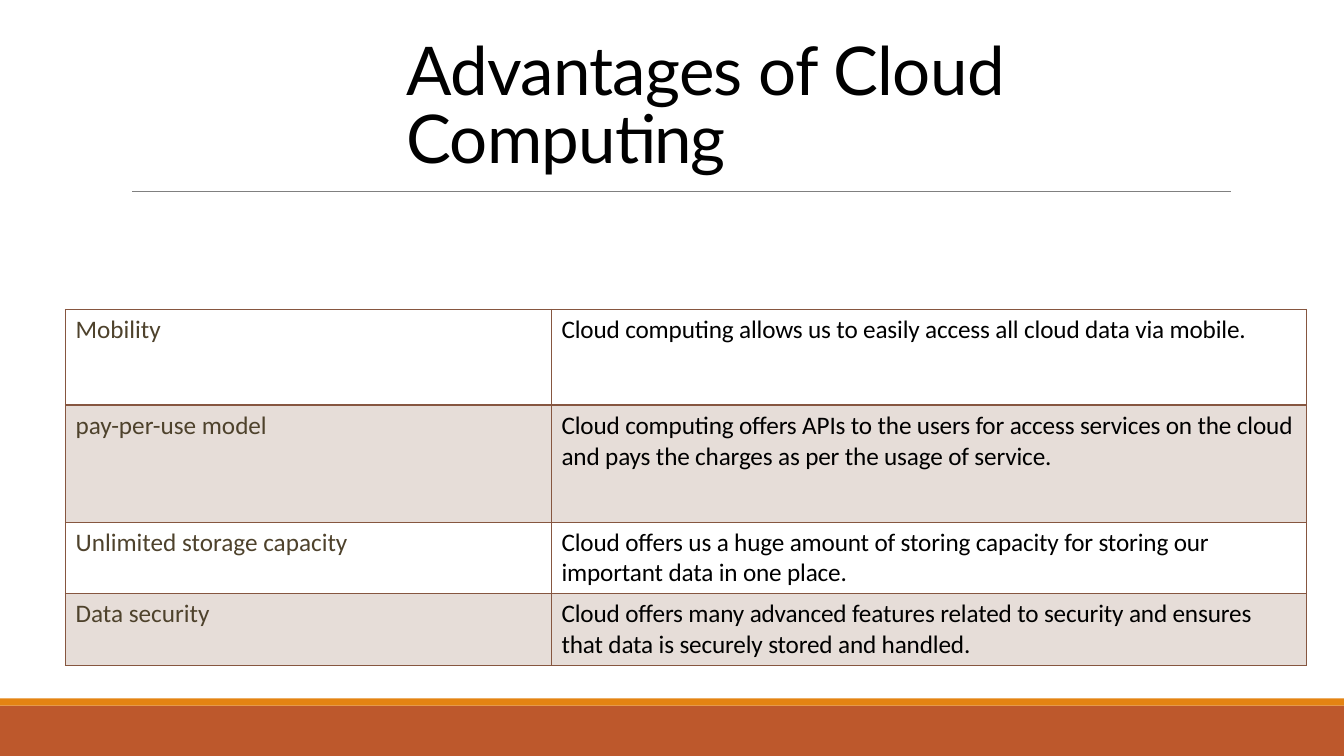
from lxml import etree
from pptx import Presentation
from pptx.dml.color import RGBColor
from pptx.enum.shapes import MSO_CONNECTOR, MSO_SHAPE
from pptx.enum.text import MSO_ANCHOR, MSO_AUTO_SIZE, PP_ALIGN
from pptx.oxml.ns import qn
from pptx.util import Inches, Pt

RECTANGLE = MSO_SHAPE.RECTANGLE
STRAIGHT = MSO_CONNECTOR.STRAIGHT
BOTTOM = MSO_ANCHOR.BOTTOM
NO_AUTOFIT = MSO_AUTO_SIZE.NONE
LEFT = PP_ALIGN.LEFT

COLORS = {
    "footer": "BD582C",
    "stripe": "E48312",
    "rule": "808080",
    "border": "865640",
    "label": "4E422C",
    "text": "000000",
}
ADVANTAGES = [
    ("Mobility", "Cloud computing allows us to easily access all cloud data via mobile."),
    ("pay-per-use model",
     "Cloud computing offers APIs to the users for access services on the cloud "
     "and pays the charges as per the usage of service."),
    ("Unlimited storage capacity",
     "Cloud offers us a huge amount of storing capacity for storing our "
     "important data in one place."),
    ("Data security",
     "Cloud offers many advanced features related to security and ensures "
     "that data is securely stored and handled."),
]
COLUMN_WIDTHS = [4.82, 7.49]
ROW_HEIGHTS = [0.95, 1.16, 0.71, 0.71]


class SlideBuilder:
    """Hold the colours and the current slide and draw its elements."""

    def __init__(self, slide, colors):
        self.slide = slide
        self.colors = colors

    def rgb(self, name):
        return RGBColor.from_string(self.colors[name])

    def band(self, top, height, color):
        band = self.slide.shapes.add_shape(
            RECTANGLE, 0, Inches(top), Inches(13.33), Inches(height))
        band.shadow.inherit = False
        band.fill.solid()
        band.fill.fore_color.rgb = self.rgb(color)
        band.line.fill.background()

    def rule(self, left, right, top):
        rule = self.slide.shapes.add_connector(
            STRAIGHT, Inches(left), Inches(top), Inches(right), Inches(top))
        rule.line.color.rgb = self.rgb("rule")
        rule.line.width = Pt(0.5)
        etree.SubElement(rule._element.spPr, qn("a:effectLst"))

    def style(self, paragraph, font_name, size, color, spacing):
        for run in paragraph.runs:
            run.font.name = font_name
            run.font.size = Pt(size)
            run.font.color.rgb = self.rgb(color)
            run._r.get_or_add_rPr().set("spc", str(spacing))

    def title(self, text, left, top, width, height):
        title = self.slide.shapes.title
        title.left, title.top = Inches(left), Inches(top)
        title.width, title.height = Inches(width), Inches(height)
        frame = title.text_frame
        frame.text = text
        frame.word_wrap = True
        frame.auto_size = NO_AUTOFIT
        frame.vertical_anchor = BOTTOM
        heading = frame.paragraphs[0]
        heading.alignment = LEFT
        heading.line_spacing = 0.85
        self.style(heading, "Lato", 48, "text", -50)

    def borders(self, cell, widths):
        properties = cell._tc.get_or_add_tcPr()
        for position, (side, width) in enumerate(widths.items()):
            line = etree.Element(qn(f"a:ln{side}"), w=str(Pt(width)))
            fill = etree.SubElement(line, qn("a:solidFill"))
            etree.SubElement(fill, qn("a:srgbClr"), val=self.colors["border"])
            properties.insert(position, line)

    def shade(self, cell, opacity):
        cell.fill.solid()
        cell.fill.fore_color.rgb = self.rgb("border")
        tint = cell._tc.tcPr.find(f"{qn('a:solidFill')}/{qn('a:srgbClr')}")
        etree.SubElement(tint, qn("a:alpha"), val=str(opacity * 1000))

    def table(self, rows, left, top, widths, heights):
        table = self.slide.shapes.add_table(
            len(rows), len(widths), Inches(left), Inches(top),
            Inches(sum(widths)), Inches(sum(heights))).table
        table.first_row = False
        table.horz_banding = False
        for column, width in zip(table.columns, widths):
            column.width = Inches(width)
        for row, height in zip(table.rows, heights):
            row.height = Inches(height)
        for row_index, texts in enumerate(rows):
            for column_index, text in enumerate(texts):
                cell = table.cell(row_index, column_index)
                cell.text_frame.text = text
                color, spacing = [("label", 0), ("text", -10)][column_index]
                self.style(cell.text_frame.paragraphs[0], "Calibri", 18, color, spacing)
                if row_index % 2:
                    self.shade(cell, 20)
                else:
                    cell.fill.background()
                self.borders(cell, {
                    "L": 1, "R": 1,
                    "T": 2 if row_index == 1 else 1,
                    "B": 2 if row_index == 0 else 1,
                })


def main():
    deck = Presentation()
    deck.slide_width, deck.slide_height = Inches(13.33), Inches(7.5)
    builder = SlideBuilder(deck.slides.add_slide(deck.slide_layouts[5]), COLORS)
    builder.band(7, 0.5, "footer")
    builder.band(6.93, 0.07, "stripe")
    builder.rule(1.31, 12.21, 1.9)
    builder.table(ADVANTAGES, 0.65, 3.07, COLUMN_WIDTHS, ROW_HEIGHTS)
    builder.title("Advantages of Cloud Computing", 3.93, 0.32, 7.93, 1.49)
    deck.save("out.pptx")


if __name__ == "__main__":
    main()
